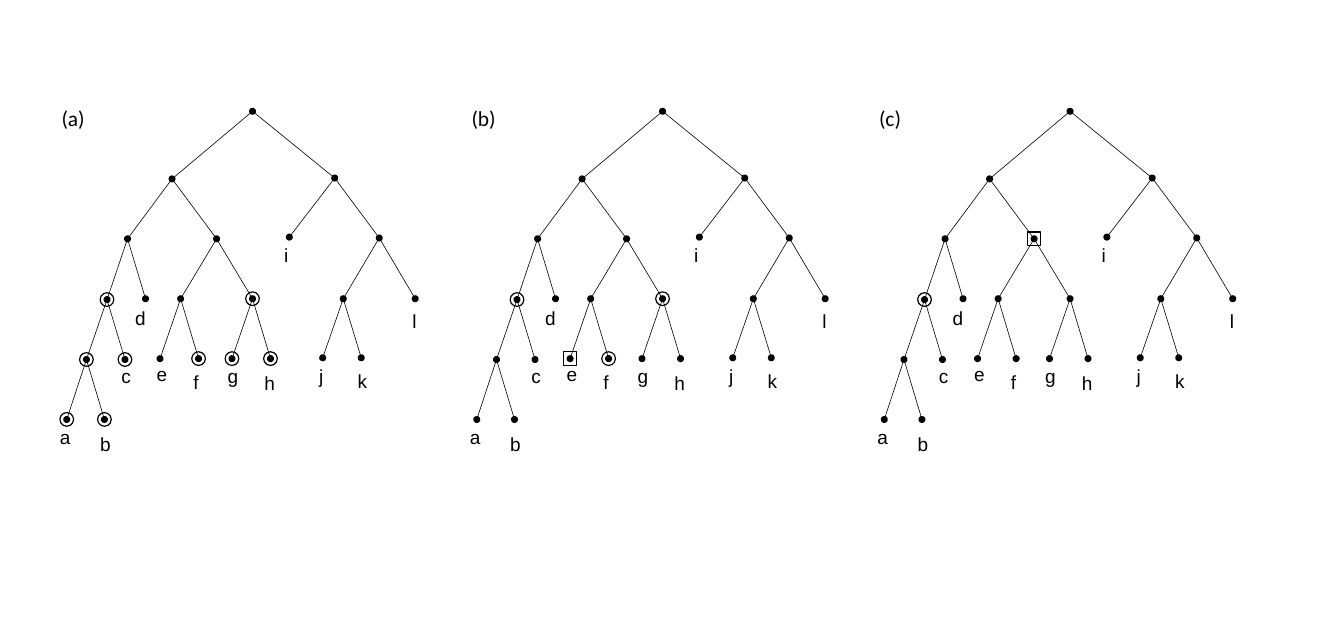
"""Three copies of a binary tree with leaves a to l, each with its own marked nodes."""
from lxml import etree
from pptx import Presentation
from pptx.dml.color import RGBColor
from pptx.enum.shapes import MSO_CONNECTOR, MSO_SHAPE
from pptx.enum.text import MSO_AUTO_SIZE
from pptx.oxml.ns import qn
from pptx.util import Pt

STRAIGHT = MSO_CONNECTOR.STRAIGHT
CIRCLE = MSO_SHAPE.OVAL
SQUARE = MSO_SHAPE.RECTANGLE
FIT_TEXT = MSO_AUTO_SIZE.SHAPE_TO_FIT_TEXT

PX = 9144
COLOURS = {"ink": "000000"}
MARK_SIZE = 16
LEAF_HEIGHT = 37

NODES = {
    "root": (295, 130),
    "a-h": (201, 209), "i-l": (391, 208),
    "a-d": (149, 279), "e-h": (253, 279), "i": (338, 277), "j-l": (443, 278),
    "a-c": (125, 350), "d": (170, 349), "e-f": (211, 349), "g-h": (295, 349),
    "j-k": (401, 349), "l": (485, 349),
    "a-b": (101, 420), "c": (146, 420), "e": (187, 419), "f": (232, 419),
    "g": (271, 419), "h": (316, 419), "j": (377, 418), "k": (422, 418),
    "a": (78, 490), "b": (122, 490),
}
CHILDREN = {
    "root": ("a-h", "i-l"),
    "a-h": ("a-d", "e-h"), "i-l": ("i", "j-l"),
    "a-d": ("a-c", "d"), "e-h": ("e-f", "g-h"), "j-l": ("j-k", "l"),
    "a-c": ("a-b", "c"), "e-f": ("e", "f"), "g-h": ("g", "h"), "j-k": ("j", "k"),
    "a-b": ("a", "b"),
}
LEAF_LABELS = {
    "a": (60, 492, 32), "b": (107, 500, 31), "c": (132, 421, 29), "d": (148, 353, 32),
    "e": (173, 419, 29), "f": (216, 428, 27), "g": (256, 421, 31), "h": (299, 429, 32),
    "i": (322, 280, 27), "j": (363, 421, 26), "k": (408, 427, 31), "l": (472, 357, 26),
}
PANELS = [
    ("(a)", 0, ["a-c", "c", "g-h", "f", "b", "a", "a-b", "g", "h"], []),
    ("(b)", 479, ["a-c", "f", "g-h"], ["e"]),
    ("(c)", 955, ["a-c"], ["e-h"]),
]


class TreeSlide:
    """Holds the drawing style, the slide and the shapes being added to."""

    def __init__(self, presentation):
        self.slide = presentation.slides.add_slide(presentation.slide_layouts[6])
        self.shapes = self.slide.shapes
        self.ink = RGBColor.from_string(COLOURS["ink"])

    def start_group(self):
        """Send the next elements into a new group."""
        self.shapes = self.slide.shapes.add_group_shape().shapes

    def end_group(self):
        """Send the next elements straight to the slide."""
        self.shapes = self.slide.shapes

    def edge(self, parent, child, dots):
        """Draw a branch with round dots at the named ends."""
        branch = self.shapes.add_connector(
            STRAIGHT, *(value * PX for value in (*parent, *child)))
        branch.line.color.rgb = self.ink
        branch.line.width = Pt(0.5)
        outline = branch.line._get_or_add_ln()
        for end in dots:
            etree.SubElement(outline, qn(f"a:{end}"), type="oval")
        etree.SubElement(branch._element.spPr, qn("a:effectLst"))

    def mark(self, kind, centre):
        """Outline a node with a circle or square."""
        x, y = (value - MARK_SIZE // 2 for value in centre)
        ring = self.shapes.add_shape(kind, x * PX, y * PX, MARK_SIZE * PX, MARK_SIZE * PX)
        ring.shadow.inherit = False
        ring.fill.background()
        ring.line.color.rgb = self.ink
        ring.line.width = Pt(1)

    def label(self, words, left, top, width, height, size, font):
        """Place a single-line label."""
        frame = self.shapes.add_textbox(
            left * PX, top * PX, width * PX, height * PX).text_frame
        frame.word_wrap = False
        frame.auto_size = FIT_TEXT
        frame.text = words
        style = frame.paragraphs[0].runs[0].font
        style.size = Pt(size)
        style.name = font
        style.color.rgb = self.ink

    def tree(self, offset, circled, squared):
        """Draw the whole tree moved right by the offset."""
        places = {node: (x + offset, y) for node, (x, y) in NODES.items()}
        self.start_group()
        for parent, (left, right) in CHILDREN.items():
            left_dots = ("headEnd", "tailEnd") if parent == "root" else ("tailEnd",)
            self.edge(places[parent], places[left], left_dots)
            self.edge(places[parent], places[right], ("tailEnd",))
        for leaf, (left, top, width) in LEAF_LABELS.items():
            self.label(leaf, left + offset, top, width, LEAF_HEIGHT, 16, "Arial")
        for node in circled:
            self.mark(CIRCLE, places[node])
        self.end_group()
        for node in squared:
            self.mark(SQUARE, places[node])


def main():
    """Build and save the slide."""
    presentation = Presentation()
    presentation.slide_width = 1570 * PX
    presentation.slide_height = 750 * PX
    slide = TreeSlide(presentation)
    for caption, offset, circled, squared in PANELS:
        slide.tree(offset, circled, squared)
        slide.label(caption, 62 + offset, 118, 48, 40, 18, "Calibri")
    presentation.save("out.pptx")


if __name__ == "__main__":
    main()
